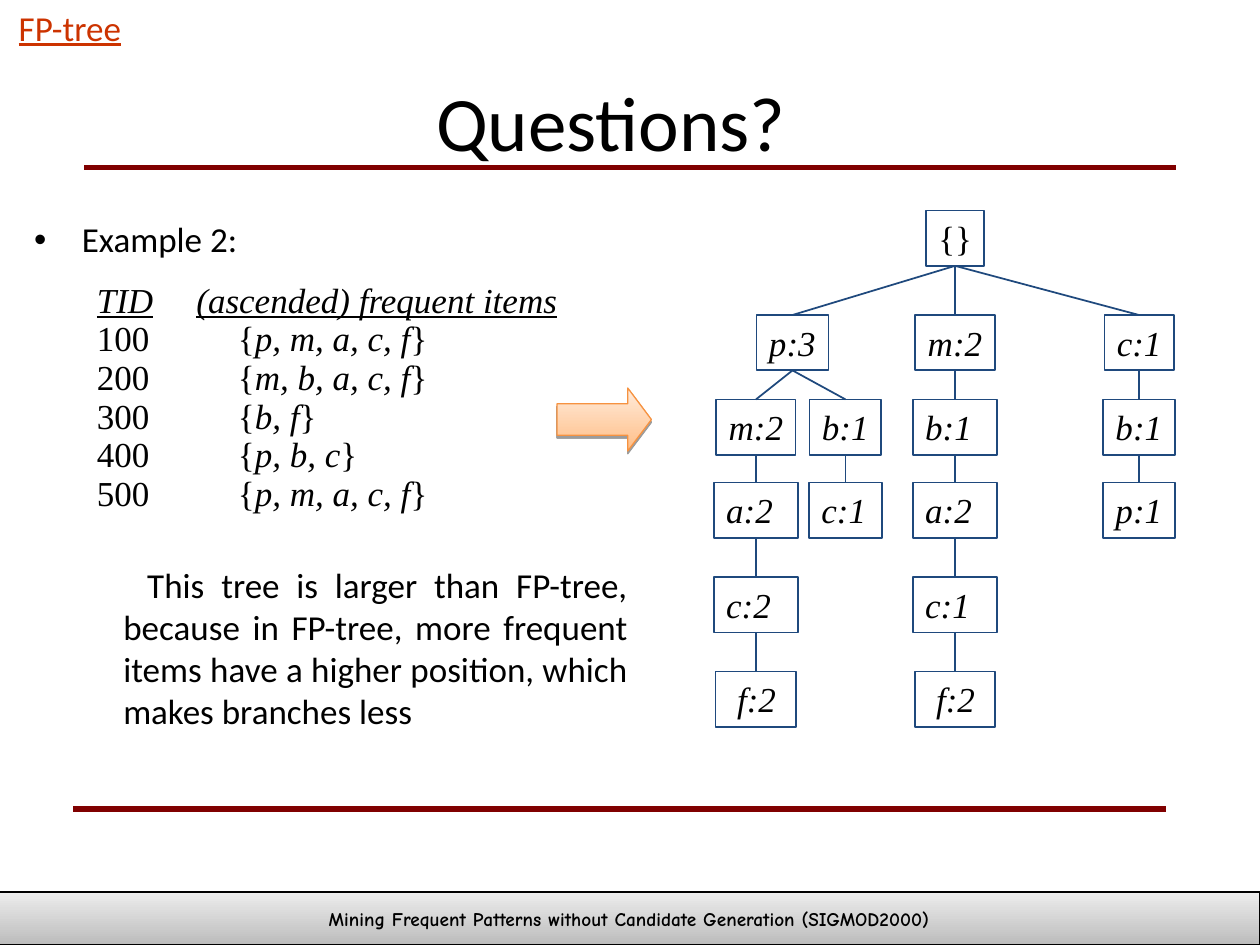
from lxml.etree import SubElement
from pptx import Presentation
from pptx.dml.color import RGBColor
from pptx.enum.shapes import MSO_CONNECTOR, MSO_SHAPE
from pptx.enum.text import MSO_ANCHOR, PP_ALIGN
from pptx.oxml.ns import qn
from pptx.util import Inches, Pt

# Content
SECTION = "FP-tree"
TITLE = "Questions?"
EXAMPLE = "Example 2:"
HEADINGS = "TID", "(ascended) frequent items"
TRANSACTIONS = [
    ("100", "p, m, a, c, f"),
    ("200", "m, b, a, c, f"),
    ("300", "b, f"),
    ("400", "p, b, c"),
    ("500", "p, m, a, c, f"),
]
REMARK = ("This tree is larger than FP-tree, because in FP-tree, more frequent "
          "items have a higher position, which makes branches less")
FOOTER = "Mining Frequent Patterns without Candidate Generation (SIGMOD2000)"

# Tree: each branch is (centre x, first level, [(label, box width), ...])
ROOT = "{}", 7.58, 0.46
BRANCHES = {
    "p": (6.29, 1, [("p:3", 0.57)]),
    "pm": (6, 2, [("m:2", 0.63), ("a:2", 0.67), ("c:2", 0.67), ("f:2", 0.64)]),
    "pb": (6.71, 2, [("b:1", 0.57), ("c:1", 0.58)]),
    "m": (7.58, 1, [("m:2", 0.63), ("b:1", 0.67), ("a:2", 0.67), ("c:1", 0.67),
                    ("f:2", 0.64)]),
    "c": (9.04, 1, [("c:1", 0.55), ("b:1", 0.57), ("p:1", 0.57)]),
}
LEVEL_TOPS = [1.67, 2.5, 3.17, 3.83, 4.58, 5.33]
NODE_HEIGHT = 0.44

SANS, SERIF = "Calibri", "Times New Roman"
BLACK, NAVY, MAROON = "000000", "1F497D", "800000"


def rgb(hex_color):
    return RGBColor.from_string(hex_color)


def set_font(target, name, size=20, color=BLACK, **styles):
    font = target.font
    font.name, font.size = name, Pt(size)
    font.color.rgb = rgb(color)
    for style, value in styles.items():
        setattr(font, style, value)


def box(*place):
    return [Inches(value) for value in place]


def add_text(left, top, width, height, wrap=True):
    frame = slide.shapes.add_textbox(*box(left, top, width, height)).text_frame
    frame.word_wrap = wrap
    return frame


def set_indent(paragraph, margin, first):
    props = paragraph._p.get_or_add_pPr()
    props.set("marL", str(Inches(margin)))
    props.set("indent", str(Inches(first)))
    return props


def add_line(start, end, color=NAVY, width=1):
    line = slide.shapes.add_connector(MSO_CONNECTOR.STRAIGHT, *box(*start, *end))
    line.line.color.rgb = rgb(color)
    line.line.width = Pt(width)
    SubElement(line._element.spPr, qn("a:effectLst"))
    return line


def add_gradient_shape(kind, place, dark, light, outline):
    shape = slide.shapes.add_shape(kind, *box(*place))
    shape.fill.gradient()
    shape.fill.gradient_angle = 90
    for stop, color in zip(shape.fill.gradient_stops, (dark, light)):
        stop.color.rgb = rgb(color)
    shape.line.color.rgb = rgb(outline)
    shape.line.width = Pt(0.75)
    shape.shadow.inherit = False
    effects = shape._element.spPr.find(qn("a:effectLst"))
    shadow = SubElement(effects, qn("a:outerShdw"), dist=str(Pt(1.6)),
                        dir="5400000", rotWithShape="0")
    shade = SubElement(shadow, qn("a:srgbClr"), val=BLACK)
    SubElement(shade, qn("a:alpha"), val="38000")
    return shape


def add_node(label, center, width, level):
    node = slide.shapes.add_shape(
        MSO_SHAPE.RECTANGLE,
        *box(center - width / 2, LEVEL_TOPS[level], width, NODE_HEIGHT))
    node.shadow.inherit = False
    node.fill.background()
    node.line.color.rgb = rgb(NAVY)
    node.line.width = Pt(1)
    frame = node.text_frame
    frame.word_wrap = width > 0.63
    frame.vertical_anchor = MSO_ANCHOR.TOP
    if label.startswith("f"):
        frame.margin_left = Inches(0.17)
    paragraph = frame.paragraphs[0]
    paragraph.text = label
    paragraph.alignment = PP_ALIGN.LEFT
    set_font(paragraph, SERIF, italic=level > 0)
    return node


def link(parent, child):
    line = add_line((0, 0), (1, 1))
    line.begin_connect(parent, 2)
    line.end_connect(child, 0)


prs = Presentation()
prs.slide_width, prs.slide_height = Inches(10), Inches(7.5)
slide = prs.slides.add_slide(prs.slide_layouts[1])

# Title and example heading
title, body = slide.shapes.title, slide.placeholders[1]
title.left, title.top, title.width, title.height = box(0, 0.5, 9.7, 0.91)
title.text_frame.text = TITLE
set_font(title.text_frame.paragraphs[0], SANS, 44)

body.left, body.top, body.width, body.height = box(0.17, 1.58, 9.42, 5.08)
body.text_frame.text = EXAMPLE
example = body.text_frame.paragraphs[0]
SubElement(set_indent(example, 0.38, -0.38), qn("a:buChar"), char="•")
example.line_spacing = 1.3
example.space_before = Pt(0)
set_font(example, SANS)

# Section label
section = add_text(0.05, 0, 1.02, 0.44, wrap=False).paragraphs[0]
section.text = SECTION
set_font(section, SANS, color="CC3300", underline=True)

# Footer bar and arrow
footer = add_gradient_shape(MSO_SHAPE.RECTANGLE, (-0.01, 7.08, 10.01, 0.42),
                            "BCBCBC", "EDEDED", BLACK)
footer.text_frame.word_wrap = False
footer_line = footer.text_frame.paragraphs[0]
footer_line.text = FOOTER
footer_line.alignment = PP_ALIGN.CENTER
set_font(footer_line, "Comic Neue", 11, bold=True)

arrow = add_gradient_shape(MSO_SHAPE.RIGHT_ARROW, (4.42, 3.08, 0.75, 0.5),
                           "FFBE86", "FFEBDB", "F69240")
arrow.adjustments[1] = 0.375

# Transaction list: one tab stop between the columns
listing = add_text(0.67, 2.33, 3.92, 1.77)
for index, (tid, items) in enumerate([HEADINGS] + TRANSACTIONS):
    heading = index == 0
    row = listing.paragraphs[0] if heading else listing.add_paragraph()
    tabs = SubElement(row._p.get_or_add_pPr(), qn("a:tabLst"))
    SubElement(tabs, qn("a:tab"), pos=str(Inches(0.79 if heading else 1.12)), algn="l")
    row.line_spacing = 0.4
    row.space_before = Pt(0 if heading else 12.5)
    if heading:
        row.text = f"{tid}\t{items}"
        set_font(row, SERIF, italic=True, underline=True)
    else:
        for text, italic in ((f"{tid}\t{{", False), (items, True), ("}", False)):
            run = row.add_run()
            run.text = text
            set_font(run, SERIF, italic=italic)

# Prefix tree
root_label, root_x, root_width = ROOT
root = add_node(root_label, root_x, root_width, 0)
tops = {"": root}
for name, (center, first_level, nodes) in BRANCHES.items():
    parent = tops[name[:-1]]
    for level, (label, width) in enumerate(nodes, first_level):
        node = add_node(label, center, width, level)
        link(parent, node)
        tops.setdefault(name, node)
        parent = node

# Remark
remark = add_text(0.5, 4.42, 4.58, 1.44).paragraphs[0]
remark.text = REMARK
remark.alignment = PP_ALIGN.JUSTIFY
set_indent(remark, 0.38, 0.19)
set_font(remark, SANS)

# Rules
for left, right, y in ((0.67, 9.33, 1.33), (0.58, 9.25, 6.42)):
    add_line((left, y), (right, y), MAROON, 3.25)

prs.save("out.pptx")
